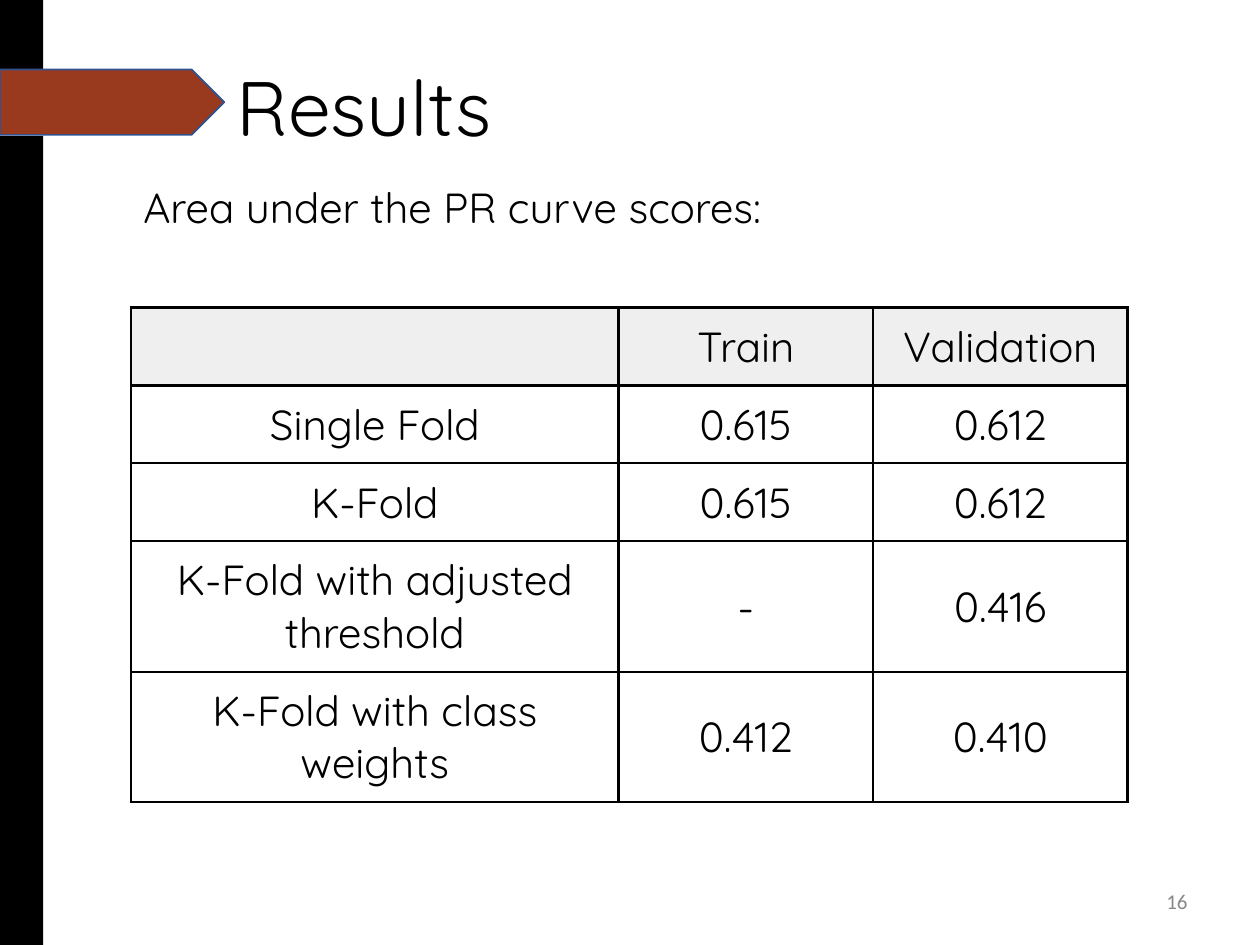
"""Build the results slide with the table of PR curve scores."""

from lxml.etree import SubElement
from pptx import Presentation
from pptx.dml.color import RGBColor
from pptx.enum.shapes import MSO_SHAPE
from pptx.enum.text import MSO_ANCHOR, PP_ALIGN
from pptx.oxml.ns import qn
from pptx.util import Cm, Pt

BLACK = RGBColor(0x00, 0x00, 0x00)
WHITE = RGBColor(0xFF, 0xFF, 0xFF)
RUST = RGBColor(0x99, 0x39, 0x1E)
NAVY = RGBColor(0x31, 0x53, 0x8F)
PALE = RGBColor(0xEF, 0xEF, 0xEF)
GREY = RGBColor(0x88, 0x88, 0x88)

TITLE = "Results"
SUBTITLE = "Area under the PR curve scores:"
PAGE_NUMBER = "16"
SCORES = [
    ("", "Train", "Validation"),
    ("Single Fold", "0.615", "0.612"),
    ("K-Fold", "0.615", "0.612"),
    ("K-Fold with adjusted threshold", "-", "0.416"),
    ("K-Fold with class weights", "0.412", "0.410"),
]
COLUMN_WIDTHS = [9.83, 5.13, 5.13]
ROW_HEIGHTS = [1.57, 1.57, 1.57, 2.63, 2.63]
BORDER_SIDES = ["a:lnL", "a:lnR", "a:lnT", "a:lnB"]

BARS = [
    (MSO_SHAPE.RECTANGLE, (0, 0, 0.87, 1.4), BLACK, None),
    (MSO_SHAPE.RECTANGLE, (0, 2.74, 0.87, 16.31), BLACK, None),
    (MSO_SHAPE.PENTAGON, (0, 1.4, 4.52, 1.32), RUST, NAVY),
]


def write(frame, text, size=24, font="Quicksand", color=BLACK,
          align=PP_ALIGN.LEFT, anchor=MSO_ANCHOR.MIDDLE, spacing=1.0):
    frame.word_wrap = True
    frame.vertical_anchor = anchor
    para = frame.paragraphs[0]
    para.alignment = align
    para.line_spacing = spacing
    span = para.add_run()
    span.text = text
    span.font.size = Pt(size)
    span.font.name = font
    span.font.color.rgb = color


def add_bar(page, kind, place, fill, outline):
    bar = page.shapes.add_shape(kind, *map(Cm, place))
    bar.shadow.inherit = False
    bar.fill.solid()
    bar.fill.fore_color.rgb = fill
    if outline is None:
        bar.line.fill.background()
    else:
        bar.line.color.rgb = outline
        bar.line.width = Pt(1)


def add_borders(cell):
    properties = cell._tc.get_or_add_tcPr()
    for index, side in enumerate(BORDER_SIDES):
        line = SubElement(properties, qn(side), w=str(Pt(1.5)))
        properties.insert(index, line)
        fill = SubElement(line, qn("a:solidFill"))
        SubElement(fill, qn("a:srgbClr"), val=str(BLACK))


def add_scores(page):
    table = page.shapes.add_table(
        len(SCORES), len(COLUMN_WIDTHS), Cm(2.64), Cm(6.2),
        Cm(sum(COLUMN_WIDTHS)), Cm(sum(ROW_HEIGHTS))).table
    for column, width in zip(table.columns, COLUMN_WIDTHS):
        column.width = Cm(width)
    for row_index, (row, height) in enumerate(zip(table.rows, ROW_HEIGHTS)):
        row.height = Cm(height)
        for cell, text in zip(row.cells, SCORES[row_index]):
            cell.margin_left = cell.margin_right = Cm(0.25)
            cell.margin_top = cell.margin_bottom = Cm(0.25)
            cell.vertical_anchor = MSO_ANCHOR.MIDDLE
            cell.fill.solid()
            cell.fill.fore_color.rgb = PALE if row_index == 0 else WHITE
            add_borders(cell)
            if text:
                write(cell.text_frame, text, align=PP_ALIGN.CENTER,
                      anchor=None)
                cell.vertical_anchor = MSO_ANCHOR.MIDDLE


def main():
    deck = Presentation()
    deck.slide_width, deck.slide_height = Cm(25.4), Cm(19.05)
    page = deck.slides.add_slide(deck.slide_layouts[5])

    for bar in BARS:
        add_bar(page, *bar)

    title = page.shapes.title
    title.left, title.top = Cm(4.52), Cm(0.41)
    title.width, title.height = Cm(20.04), Cm(3.68)
    write(title.text_frame, TITLE, size=44, spacing=0.9)

    number = page.shapes.add_textbox(Cm(18.47), Cm(17.65), Cm(5.72), Cm(1.02))
    write(number.text_frame, PAGE_NUMBER, size=12, font="Calibri", color=GREY,
          align=PP_ALIGN.RIGHT)

    add_scores(page)

    subtitle = page.shapes.add_textbox(Cm(2.64), Cm(3.4), Cm(14.83), Cm(2.31))
    subtitle.text_frame.margin_top = Cm(0.25)
    write(subtitle.text_frame, SUBTITLE, anchor=MSO_ANCHOR.TOP)

    deck.save("out.pptx")


if __name__ == "__main__":
    main()
